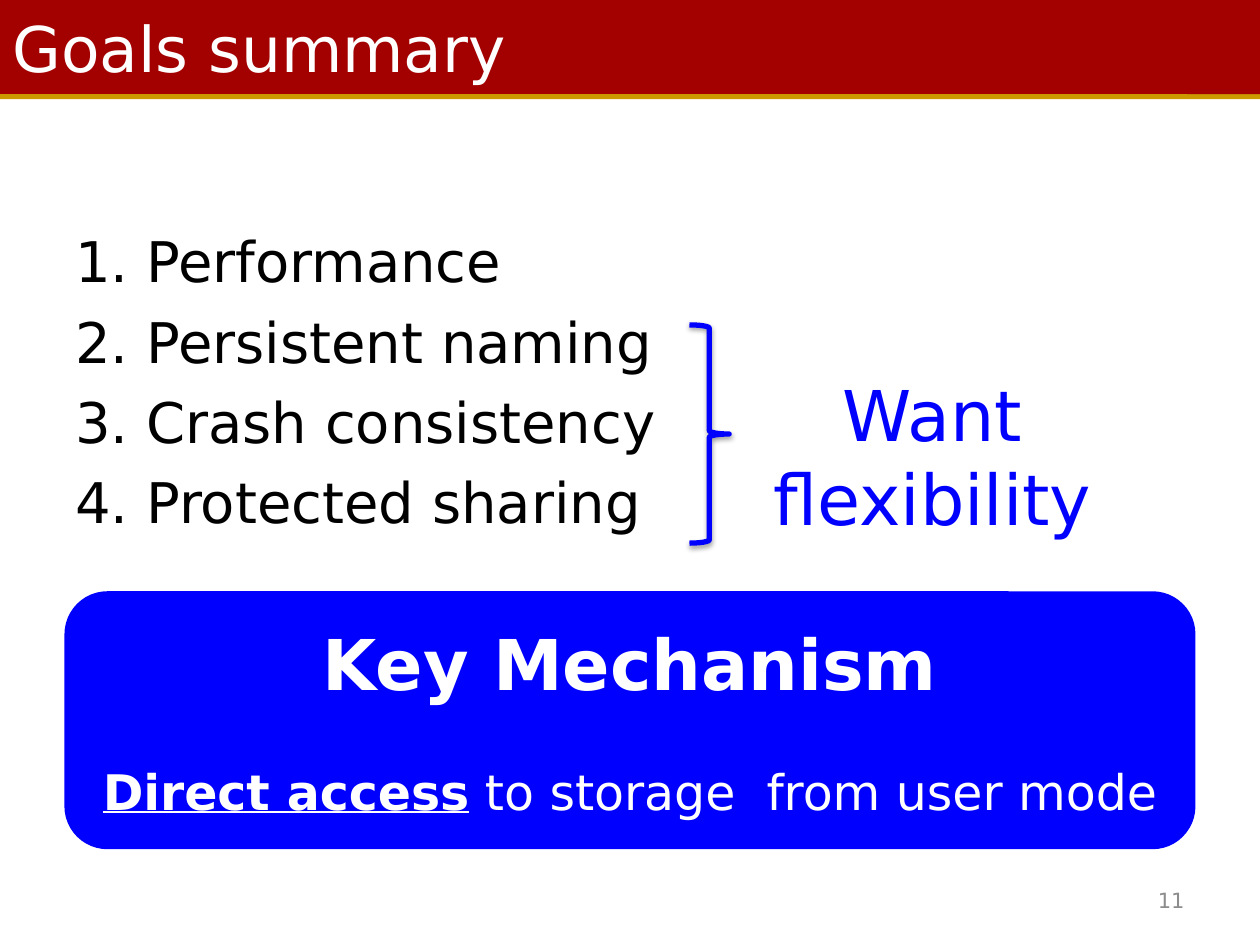
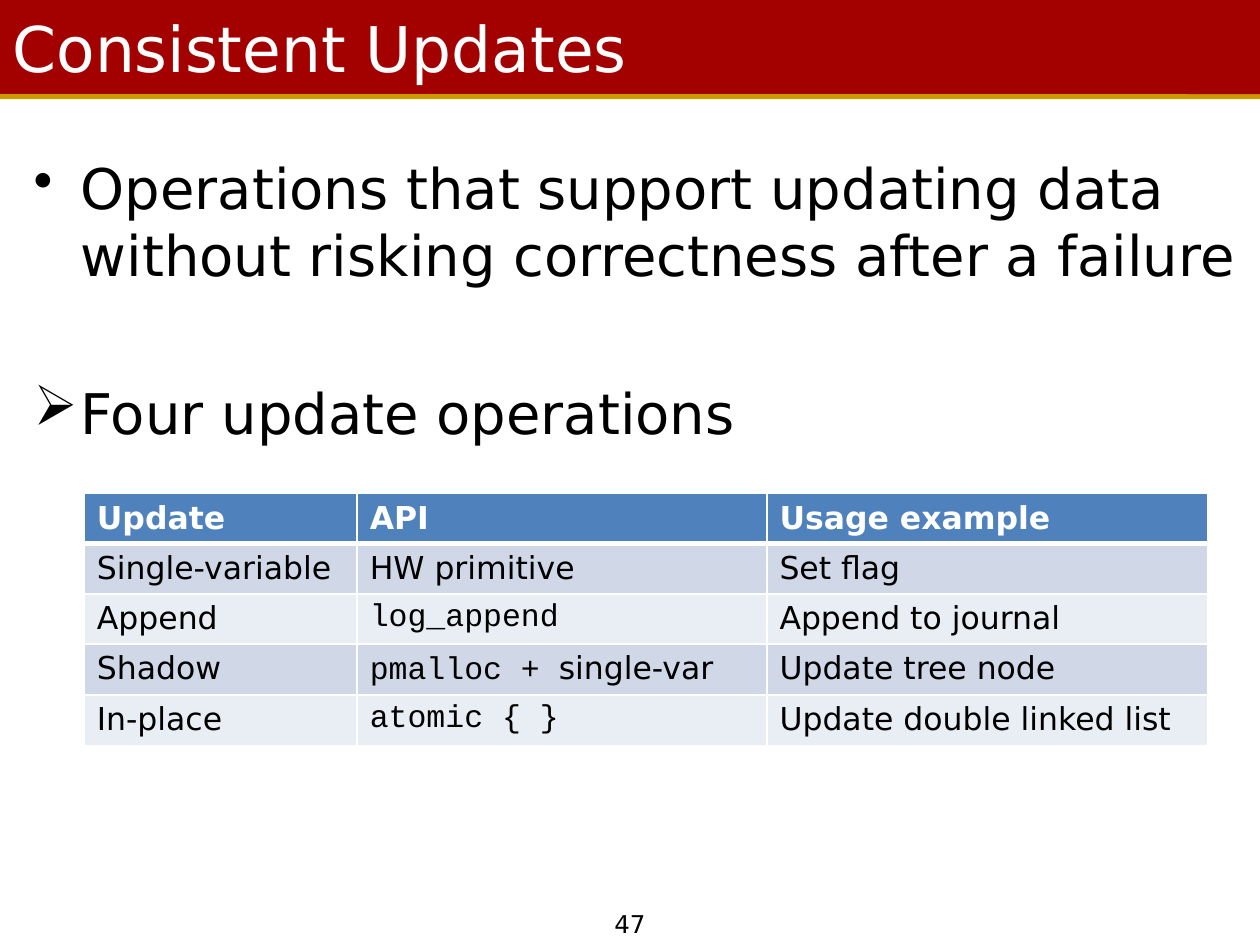
from lxml import etree
from pptx import Presentation
from pptx import util as u
from pptx.dml.color import RGBColor
from pptx.enum import shapes, text
from pptx.oxml import ns

# Content
GOALS = ["Performance", "Persistent naming", "Crash consistency", "Protected sharing"]
WISH = "Want flexibility"
MECHANISM_TITLE = "Key Mechanism"
MECHANISM = [("Direct access", dict(bold=True, underline=True)),
             (" to storage  from user mode", {})]
UPDATE_POINTS = [
    ("•", "Operations that support updating data without risking correctness after a failure"),
    ("➢", "Four update operations"),
]
CODE = dict(name="Courier New")
UPDATE_TABLE = [
    ["Update", "API", "Usage example"],
    ["Single-variable", "HW primitive", "Set flag"],
    ["Append", [("log_append", CODE)], "Append to journal"],
    ["Shadow", [("pmalloc + ", CODE), ("single-var", {})], "Update tree node"],
    ["In-place", [("atomic { }", CODE)], "Update double linked list"],
]

# Shared style
COLORS = dict(red="A30000", gold="CC9900", blue="0000FF", white="FFFFFF",
              black="000000", grey="8C8C8C", header="4F81BD",
              odd_row="D0D8E8", even_row="E9EDF4")
FONT = "DejaVu Sans"
BAND_WIDTH, BAND_HEIGHT = 23.93, 1.9
SLIDE_WIDTH, SLIDE_HEIGHT = 25.4, 19.05
COLUMN_WIDTHS = [5.5, 8.26, 8.89]
ROW_HEIGHT = 1.01
LEFT, CENTER, RIGHT = (text.PP_ALIGN.LEFT, text.PP_ALIGN.CENTER, text.PP_ALIGN.RIGHT)
MIDDLE = text.MSO_ANCHOR.MIDDLE


def color(name):
    return RGBColor.from_string(COLORS[name])


def add_element(parent, tag, **attributes):
    element = etree.SubElement(parent, ns.qn(tag))
    for name, value in attributes.items():
        element.set(name, str(value))
    return element


def box(left, top, width, height):
    return [u.Cm(length) for length in (left, top, width, height)]


def write(paragraph, runs, size, tint="black", align=LEFT, before=0, **formats):
    """Fill a paragraph with a string or a list of (text, format) runs."""
    paragraph.alignment = align
    paragraph.space_before = u.Pt(before)
    for words, extra in [(runs, {})] if isinstance(runs, str) else runs:
        run = paragraph.add_run()
        run.text = words
        run.font.color.rgb = color(tint)
        for name, value in {"name": FONT, "size": u.Pt(size), **formats, **extra}.items():
            setattr(run.font, name, value)


def add_text_box(slide, place, anchor=text.MSO_ANCHOR.TOP):
    frame = slide.shapes.add_textbox(*box(*place)).text_frame
    frame.word_wrap = True
    frame.vertical_anchor = anchor
    return frame


def add_list(slide, place, items, indent):
    """Items are (bullet tag, bullet attributes, words, space before)."""
    frame = add_text_box(slide, place)
    for index, (tag, attributes, words, before) in enumerate(items):
        paragraph = frame.add_paragraph() if index else frame.paragraphs[0]
        properties = paragraph._p.get_or_add_pPr()
        properties.set("marL", str(u.Cm(indent)))
        properties.set("indent", str(-u.Cm(indent)))
        add_element(properties, tag, **attributes)
        write(paragraph, words, 32, before=before)


def add_filled(slide, kind, place, tint):
    shape = slide.shapes.add_shape(kind, *box(*place))
    shape.shadow.inherit = False
    shape.fill.solid()
    shape.fill.fore_color.rgb = color(tint)
    shape.line.fill.background()
    return shape


def add_slide(presentation, title_words):
    slide = presentation.slides.add_slide(presentation.slide_layouts[5])
    rectangle = shapes.MSO_SHAPE.RECTANGLE
    add_filled(slide, rectangle, (0, BAND_HEIGHT, SLIDE_WIDTH, 0.1), "gold")
    add_filled(slide, rectangle,
               (BAND_WIDTH, 0, SLIDE_WIDTH - BAND_WIDTH, BAND_HEIGHT), "red")
    title = slide.shapes.title
    title.left, title.top, title.width, title.height = box(0, 0, BAND_WIDTH, BAND_HEIGHT)
    title.fill.solid()
    title.fill.fore_color.rgb = color("red")
    frame = title.text_frame
    frame.auto_size = text.MSO_AUTO_SIZE.NONE
    frame.vertical_anchor = MIDDLE
    write(frame.paragraphs[0], title_words, 36, "white")
    return slide


def add_brace(slide, place):
    brace = slide.shapes.add_shape(shapes.MSO_SHAPE.RIGHT_BRACE, *box(*place))
    brace.shadow.inherit = False
    brace.fill.background()
    brace.line.color.rgb = color("blue")
    brace.line.width = u.Pt(3)
    # Soft shadow straight below
    effects = brace._element.spPr.find(ns.qn("a:effectLst"))
    shadow = add_element(effects, "a:outerShdw", blurRad=u.Pt(3.1), dist=u.Pt(1.6),
                         dir=90 * 60000, rotWithShape=0)
    tint = add_element(shadow, "a:srgbClr", val=COLORS["black"])
    add_element(tint, "a:alpha", val=38000)


def set_borders(cell, widths):
    properties = cell._tc.get_or_add_tcPr()
    for side, width in widths.items():
        line = add_element(properties, f"a:ln{side}", w=u.Pt(width))
        fill = add_element(line, "a:solidFill")
        add_element(fill, "a:srgbClr", val=COLORS["white"])


def add_update_table(slide, left, top):
    row_count = len(UPDATE_TABLE)
    table = slide.shapes.add_table(
        row_count, len(COLUMN_WIDTHS),
        *box(left, top, sum(COLUMN_WIDTHS), ROW_HEIGHT * row_count)).table
    for column, width in zip(table.columns, COLUMN_WIDTHS):
        column.width = u.Cm(width)
    for row_index, row in enumerate(UPDATE_TABLE):
        table.rows[row_index].height = u.Cm(ROW_HEIGHT)
        is_header = row_index == 0
        fill = "header" if is_header else "odd_row" if row_index % 2 else "even_row"
        for column_index, words in enumerate(row):
            cell = table.cell(row_index, column_index)
            set_borders(cell, dict(L=1, R=1, T=3 if row_index == 1 else 1,
                                   B=3 if is_header else 1))
            cell.fill.solid()
            cell.fill.fore_color.rgb = color(fill)
            write(cell.text_frame.paragraphs[0], words, 18,
                  "white" if is_header else "black", bold=is_header)


def build_goals(presentation):
    slide = add_slide(presentation, "Goals summary")
    add_list(slide, (1.27, 4.45, 23.04, 13.28),
             [("a:buAutoNum", dict(type="arabicPeriod"), goal, 7.5 if index else 0)
              for index, goal in enumerate(GOALS)], 1.43)
    number = add_text_box(slide, (18.2, 17.65, 5.93, 1.01), MIDDLE)
    write(number.paragraphs[0], "11", 12, "grey", RIGHT)

    # Key mechanism panel
    panel = add_filled(slide, shapes.MSO_SHAPE.ROUNDED_RECTANGLE,
                       (1.3, 11.92, 22.8, 5.2), "blue")
    frame = panel.text_frame
    frame.word_wrap = True
    frame.vertical_anchor = MIDDLE
    write(frame.paragraphs[0], MECHANISM_TITLE, 40, "white", CENTER, bold=True)
    write(frame.add_paragraph(), MECHANISM, 28, "white", CENTER, before=32.5)

    # Goals that want flexibility
    wish = add_text_box(slide, (13.9, 7.37, 9.8, 1.96))
    write(wish.paragraphs[0], WISH, 40, "blue", CENTER)
    add_brace(slide, (13.9, 6.55, 0.8, 4.4))


def build_updates(presentation):
    slide = add_slide(presentation, "Consistent Updates")
    add_update_table(slide, 1.7, 9.95)
    add_list(slide, (0.43, 2.97, 24.97, 15.03),
             [("a:buChar", dict(char=bullet), words, 52 if index else 0)
              for index, (bullet, words) in enumerate(UPDATE_POINTS)], 0.95)
    number = add_text_box(slide, (8.68, 18.2, 8.04, 0.85))
    write(number.paragraphs[0], "47", 14, align=CENTER)


def main():
    presentation = Presentation()
    presentation.slide_width = u.Cm(SLIDE_WIDTH)
    presentation.slide_height = u.Cm(SLIDE_HEIGHT)
    build_goals(presentation)
    build_updates(presentation)
    presentation.save("out.pptx")


if __name__ == "__main__":
    main()
